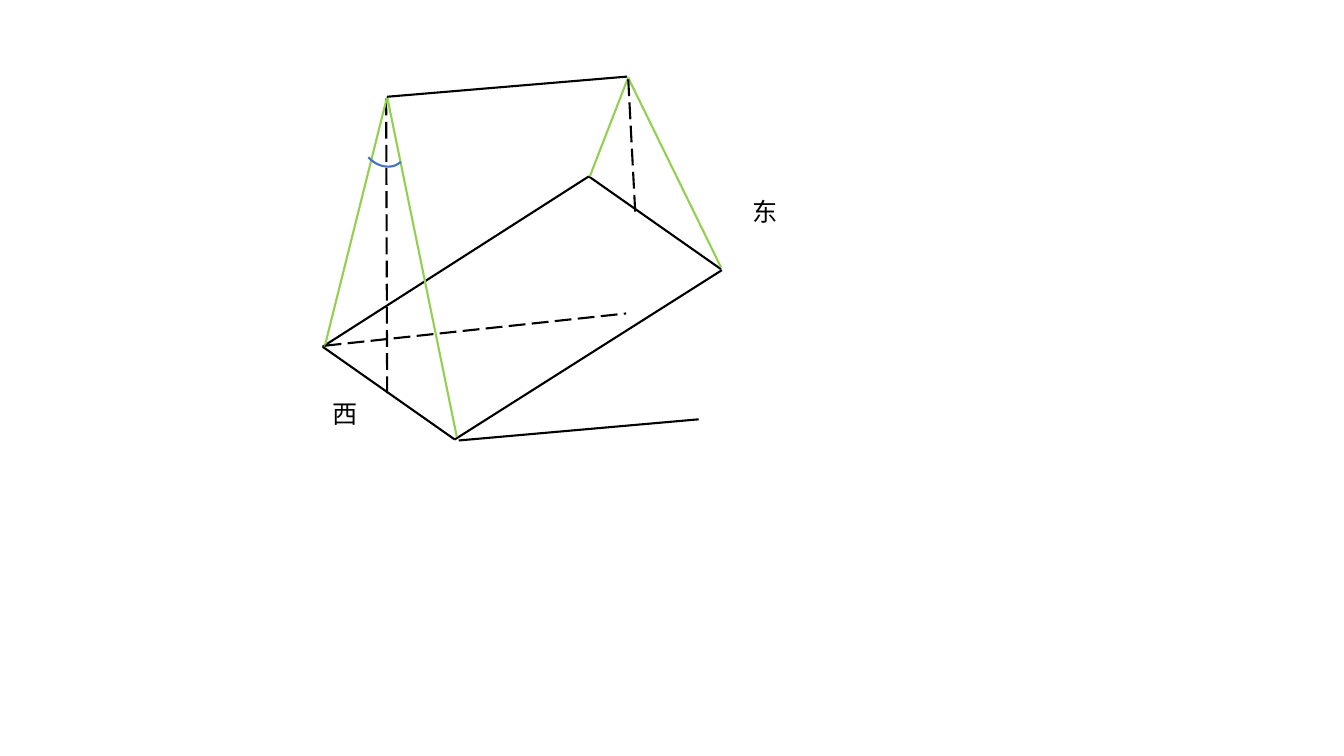
from lxml.etree import SubElement
from pptx import Presentation
from pptx.dml.color import RGBColor
from pptx.enum.dml import MSO_LINE_DASH_STYLE as Dash
from pptx.enum.shapes import MSO_CONNECTOR_TYPE as Connector, MSO_SHAPE as Shape
from pptx.oxml.ns import qn
from pptx.util import Inches, Pt

BLACK = RGBColor(0x00, 0x00, 0x00)
GREEN = RGBColor(0x92, 0xD0, 0x50)
BLUE = RGBColor(0x44, 0x72, 0xC4)
FONT = "Noto Sans CJK SC"
COLUMNS, ROWS = 396, 361

WEST, SOUTH, NORTH, EAST = (0, 268), (131, 360), (264, 99), (395, 191)
WEST_TOP, EAST_TOP = (64, 20), (303, 1)
WEST_FOOT, EAST_FOOT = (64, 314), (310, 134)

EDGES = [
    (WEST, SOUTH, BLACK, False),
    (WEST, NORTH, BLACK, False),
    (NORTH, EAST, BLACK, False),
    (SOUTH, (396, 192), BLACK, False),
    (WEST_FOOT, (63, 19), BLACK, True),
    ((133, 357), WEST_TOP, GREEN, False),
    ((2, 268), WEST_TOP, GREEN, False),
    ((135, 361), (373, 340), BLACK, False),
    ((2, 267), (301, 235), BLACK, True),
    (WEST_TOP, (302, 0), BLACK, False),
    ((265, 99), EAST_TOP, GREEN, False),
    ((395, 189), EAST_TOP, GREEN, False),
    (EAST_FOOT, EAST_TOP, BLACK, True),
]
LABELS = [("西", 0, 314, 67), ("东", 417, 114, 56)]


def add_text(page, text, left, top, width, height, size=18, color=BLACK, font=FONT):
    box = page.shapes.add_textbox(left, top, width, height)
    box.text_frame.word_wrap = True
    span = box.text_frame.paragraphs[0].add_run()
    span.text = text
    span.font.size = Pt(size)
    span.font.color.rgb = color
    span.font.name = font
    SubElement(span.font._element, qn("a:ea"), typeface=font)


def add_edge(page, start, end, color, dashed):
    edge = page.shapes.add_connector(Connector.STRAIGHT, *start, *end)
    edge.line.color.rgb = color
    edge.line.width = Pt(1.5)
    if dashed:
        edge.line.dash_style = Dash.LONG_DASH
    SubElement(edge._element.spPr, qn("a:effectLst"))


def add_angle_mark(page, left, top, width, height):
    arc = page.shapes.add_shape(Shape.ARC, left, top, width, height)
    arc.rotation = 138.4
    arc.shadow.inherit = False
    arc.fill.background()
    arc.line.color.rgb = BLUE
    arc.line.width = Pt(1.5)


def draw_prism(page, left, top, width, height):
    column, row = width / COLUMNS, height / ROWS

    def place(point):
        return round(left + point[0] * column), round(top + point[1] * row)

    def measure(columns, rows):
        return round(columns * column), round(rows * row)

    for start, end, color, dashed in EDGES:
        add_edge(page, place(start), place(end), color, dashed)
    add_angle_mark(page, *place((40, 41)), *measure(42, 50))
    for text, x, y, columns in LABELS:
        add_text(page, text, *place((x, y)), *measure(columns, 40))


def main():
    deck = Presentation()
    deck.slide_width, deck.slide_height = Inches(13.33), Inches(7.5)
    page = deck.slides.add_slide(deck.slide_layouts[6])
    draw_prism(page, Inches(3.2), Inches(0.76), Inches(3.96), Inches(3.61))
    deck.save("out.pptx")


if __name__ == "__main__":
    main()
